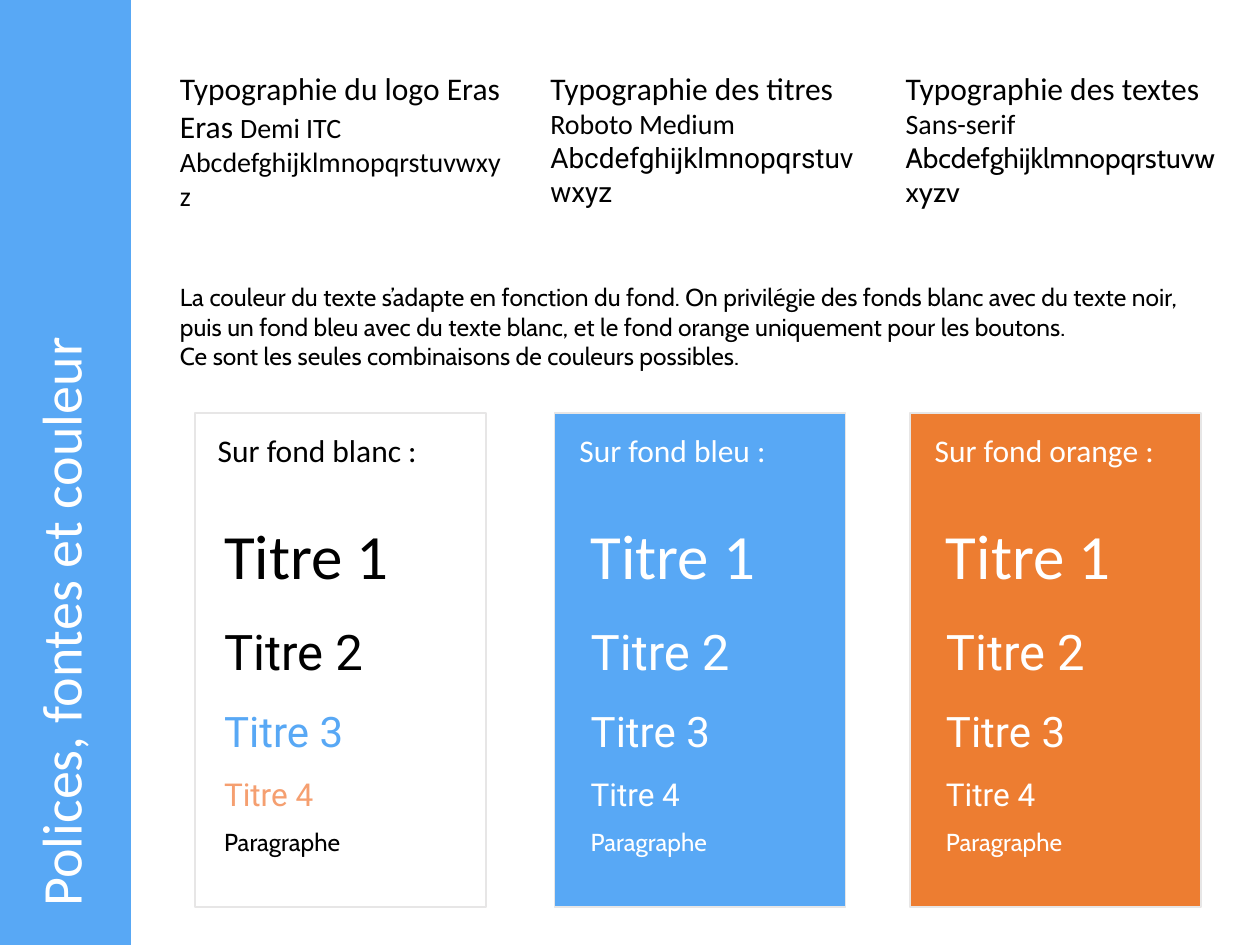
from pptx import Presentation
from pptx.dml.color import RGBColor
from pptx.enum.shapes import MSO_SHAPE
from pptx.enum.text import MSO_AUTO_SIZE
from pptx.util import Inches, Pt

HUES = {
    "white": "FFFFFF",
    "black": "000000",
    "blue": "58A8F5",
    "orange": "ED7D31",
    "peach": "F59F70",
    "edge": "E7E6E6",
}
LEVELS = [
    ("Titre 1", 36, "Calibri"),
    ("Titre 2", 28, "Roboto"),
    ("Titre 3", 24, "Roboto"),
    ("Titre 4", 18, "Roboto"),
    ("Paragraphe", 14, "Cabin"),
]
FONTS = [
    (1.33, 2.82, 1.25, [
        [("Typographie du logo Eras Eras ", 18, "Calibri"),
         ("Demi ITC", 16, "Calibri")],
        [("Abcdefghijklmnopqrstuvwxyz", 16, "Calibri")],
    ]),
    (4.27, 2.7, 1.21, [
        [("Typographie des titres", 18, "Calibri")],
        [("Roboto Medium", 16, "Calibri")],
        [("Abcdefghijklmnopqrstuvwxyz", 16, "Roboto")],
    ]),
    (7.09, 2.7, 1.21, [
        [("Typographie des textes", 18, "Calibri")],
        [("Sans-serif", 16, "Calibri")],
        [("Abcdefghijklmnopqrstuvwxyzv", 16, "Cabin")],
    ]),
]
NOTES = [
    "La couleur du texte s’adapte en fonction du fond. On privilégie des fonds "
    "blanc avec du texte noir, puis un fond bleu avec du texte blanc, et le "
    "fond orange uniquement pour les boutons.",
    "Ce sont les seules combinaisons de couleurs possibles.",
]
CARDS = [
    (1.55, "blanc", "white", 0.08, 0.13,
     ["black", "black", "blue", "peach", "black"]),
    (4.4, "bleu", "blue", 0.1, 0.19, ["white"] * 5),
    (7.22, "orange", "orange", 0.1, 0.19, ["white"] * 5),
]


def color(name):
    return RGBColor.from_string(HUES[name])


def style(item, form):
    for key, value in form.items():
        setattr(item, key, value)


def add_rect(slide, box, fill, edge=None):
    rect = slide.shapes.add_shape(MSO_SHAPE.RECTANGLE, *map(Inches, box))
    rect.shadow.inherit = False
    rect.fill.solid()
    rect.fill.fore_color.rgb = color(fill)
    if edge:
        rect.line.color.rgb = color(edge)
        rect.line.width = Pt(1)
    else:
        rect.line.fill.background()


def add_text(slide, box, lines, hues, space=None, turn=0):
    label = slide.shapes.add_textbox(*map(Inches, box))
    label.rotation = turn
    frame = label.text_frame
    style(frame, {"word_wrap": True,
                  "auto_size": MSO_AUTO_SIZE.SHAPE_TO_FIT_TEXT})
    for i, (line, hue) in enumerate(zip(lines, hues)):
        para = frame.add_paragraph() if i else frame.paragraphs[0]
        if space:
            para.line_spacing = space
        for text, size, face in line:
            run = para.add_run()
            run.text = text
            style(run.font, {"size": Pt(size), "name": face})
            run.font.color.rgb = color(hue)


def add_card(slide, left, name, fill, inset, indent, hues):
    add_rect(slide, (left, 3.28, 2.31, 3.92), fill, "edge")
    head = [[(f"Sur fond {name} :", 18, "Calibri")]]
    add_text(slide, (left + inset, 3.37, 2.47, 0.4), head, hues)
    levels = [[level] for level in LEVELS]
    add_text(slide, (left + indent, 3.75, 2.13, 3.09), levels, hues, 1.5)


def main():
    deck = Presentation()
    style(deck, {"slide_width": Inches(10), "slide_height": Inches(7.5)})
    slide = deck.slides.add_slide(deck.slide_layouts[6])
    add_rect(slide, (0, 0, 1.04, 7.5), "blue")
    title = [[("Polices, fontes et couleur", 32, "Calibri")]]
    add_text(slide, (-3.84, 2.66, 8.63, 0.64), title, ["white"], turn=270)
    for left, width, height, lines in FONTS:
        add_text(slide, (left, 0.5, width, height), lines, ["black"] * 3)
    notes = [[(note, 14, "Cabin")] for note in NOTES]
    add_text(slide, (1.33, 2.19, 8.46, 0.81), notes, ["black"] * 2)
    for card in CARDS:
        add_card(slide, *card)
    deck.save("out.pptx")


if __name__ == "__main__":
    main()
